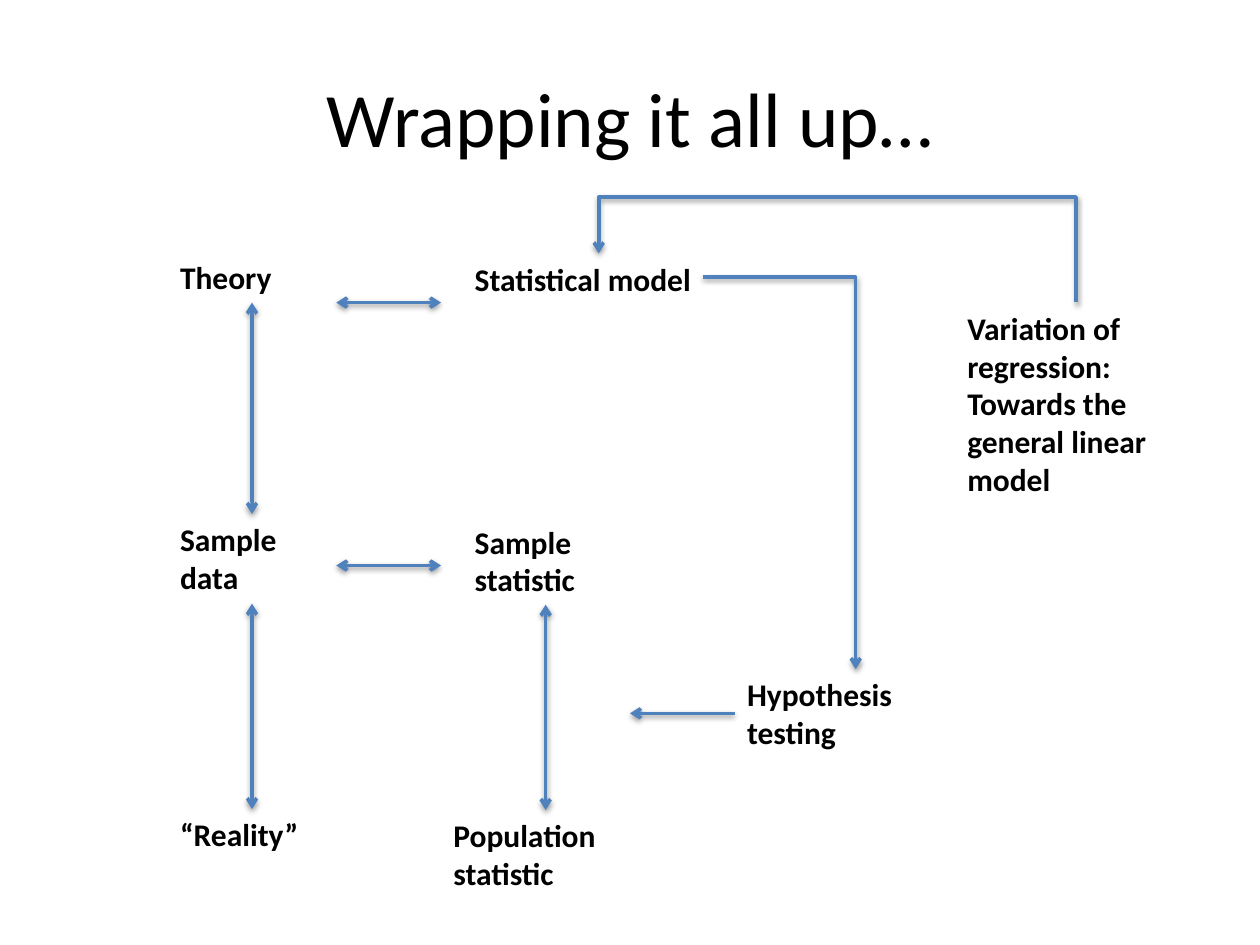
import pptx
import pptx.dml.color
import pptx.enum.shapes
import pptx.enum.text
import pptx.oxml
import pptx.oxml.ns
import pptx.util

Cm = pptx.util.Cm
Pt = pptx.util.Pt
CONNECTOR = pptx.enum.shapes.MSO_CONNECTOR

TITLE = "Wrapping it all up…"
TITLE_BOX = (1.27, 0.76, 22.86, 3.18)
TITLE_FORMAT = {"name": "Calibri", "size": Pt(44)}
LABEL_FORMAT = {"name": "Calibri", "size": Pt(18), "bold": True}
TEXT_COLOUR, LINE_COLOUR = "000000", "4F81BD"

# Paragraphs, then left, top, width, height in centimetres
LABELS = [
    (["Theory"], (3.38, 5.08, 3.38, 1.02)),
    (["Sample", "data"], (3.38, 10.36, 3.38, 1.8)),
    (["“Reality”"], (3.38, 16.31, 3.38, 1.02)),
    (["Statistical model"], (9.32, 5.11, 5.51, 1.8)),
    (["Sample", "statistic"], (9.32, 10.41, 3.38, 1.8)),
    (["Population statistic"], (8.89, 16.33, 4.24, 1.8)),
    (["Hypothesis testing"], (14.81, 13.49, 4.88, 1.8)),
    (["Variation of regression:", "Towards the general linear model"],
     (19.25, 6.1, 4.88, 4.11)),
]

# Start, end, arrowheads at start and end
BOTH, END = ("headEnd", "tailEnd"), ("tailEnd",)
STRAIGHT_ARROWS = [
    ((5.08, 6.1), (5.08, 10.36), BOTH),
    ((5.08, 12.17), (5.08, 16.31), BOTH),
    ((11, 12.19), (11, 16.33), BOTH),
    ((6.78, 6.1), (8.89, 6.1), BOTH),
    ((6.78, 11.4), (8.89, 11.4), BOTH),
    ((14.81, 14.38), (12.7, 14.38), END),
]
# Start, end, position of the horizontal run as a share of the height
BENT_ARROWS = [
    ((14.17, 5.59), (17.25, 13.49), 0),
    ((21.69, 6.1), (12.07, 5.11), 2.15),
]

NAMESPACE = pptx.oxml.ns.nsdecls("a")
SHADOW = (
    f'<a:effectLst {NAMESPACE}><a:outerShdw blurRad="40000" dist="20000" '
    'dir="5400000" rotWithShape="0"><a:srgbClr val="000000">'
    '<a:alpha val="38000"/></a:srgbClr></a:outerShdw></a:effectLst>'
)


def colour(hex_string):
    return pptx.dml.color.RGBColor.from_string(hex_string)


def add_text(slide, paragraphs, box, text_format):
    shape = slide.shapes.add_textbox(*map(Cm, box))
    frame = shape.text_frame
    frame.word_wrap = True
    frame.text = "\n".join(paragraphs)
    for paragraph in frame.paragraphs:
        for name, value in text_format.items():
            setattr(paragraph.font, name, value)
        paragraph.font.color.rgb = colour(TEXT_COLOUR)
    return frame


def add_arrow(slide, kind, start, end, heads):
    connector = slide.shapes.add_connector(kind, *map(Cm, (*start, *end)))
    connector.line.color.rgb = colour(LINE_COLOUR)
    connector.line.width = Pt(2)
    line = connector.line._get_or_add_ln()
    for head in heads:
        line.append(pptx.oxml.parse_xml(f'<a:{head} {NAMESPACE} type="arrow"/>'))
    connector.element.spPr.append(pptx.oxml.parse_xml(SHADOW))
    return connector


def add_bent_arrow(slide, start, end, bend):
    """Draw an elbow that leaves and arrives vertically, turned by 270 degrees."""
    centre_x, centre_y = (start[0] + end[0]) / 2, (start[1] + end[1]) / 2
    half_x, half_y = (end[0] - start[0]) / 2, (end[1] - start[1]) / 2
    connector = add_arrow(
        slide, CONNECTOR.ELBOW,
        (centre_x + half_y, centre_y - half_x),
        (centre_x - half_y, centre_y + half_x), END)
    properties = connector.element.spPr
    properties.find(pptx.oxml.ns.qn("a:xfrm")).set("rot", str(270 * 60000))
    geometry = properties.find(pptx.oxml.ns.qn("a:prstGeom"))
    for child in list(geometry):
        geometry.remove(child)
    geometry.append(pptx.oxml.parse_xml(
        f'<a:avLst {NAMESPACE}><a:gd name="adj1" '
        f'fmla="val {round(bend * 100000)}"/></a:avLst>'))


def main():
    presentation = pptx.Presentation()
    presentation.slide_width, presentation.slide_height = Cm(25.4), Cm(19.05)
    slide = presentation.slides.add_slide(presentation.slide_layouts[6])

    title = add_text(slide, [TITLE], TITLE_BOX, TITLE_FORMAT)
    title.vertical_anchor = pptx.enum.text.MSO_ANCHOR.MIDDLE
    title.paragraphs[0].alignment = pptx.enum.text.PP_ALIGN.CENTER
    for paragraphs, box in LABELS:
        frame = add_text(slide, paragraphs, box, LABEL_FORMAT)
        frame.auto_size = pptx.enum.text.MSO_AUTO_SIZE.SHAPE_TO_FIT_TEXT
    for start, end, heads in STRAIGHT_ARROWS:
        add_arrow(slide, CONNECTOR.STRAIGHT, start, end, heads)
    for start, end, bend in BENT_ARROWS:
        add_bent_arrow(slide, start, end, bend)

    presentation.save("out.pptx")


if __name__ == "__main__":
    main()
